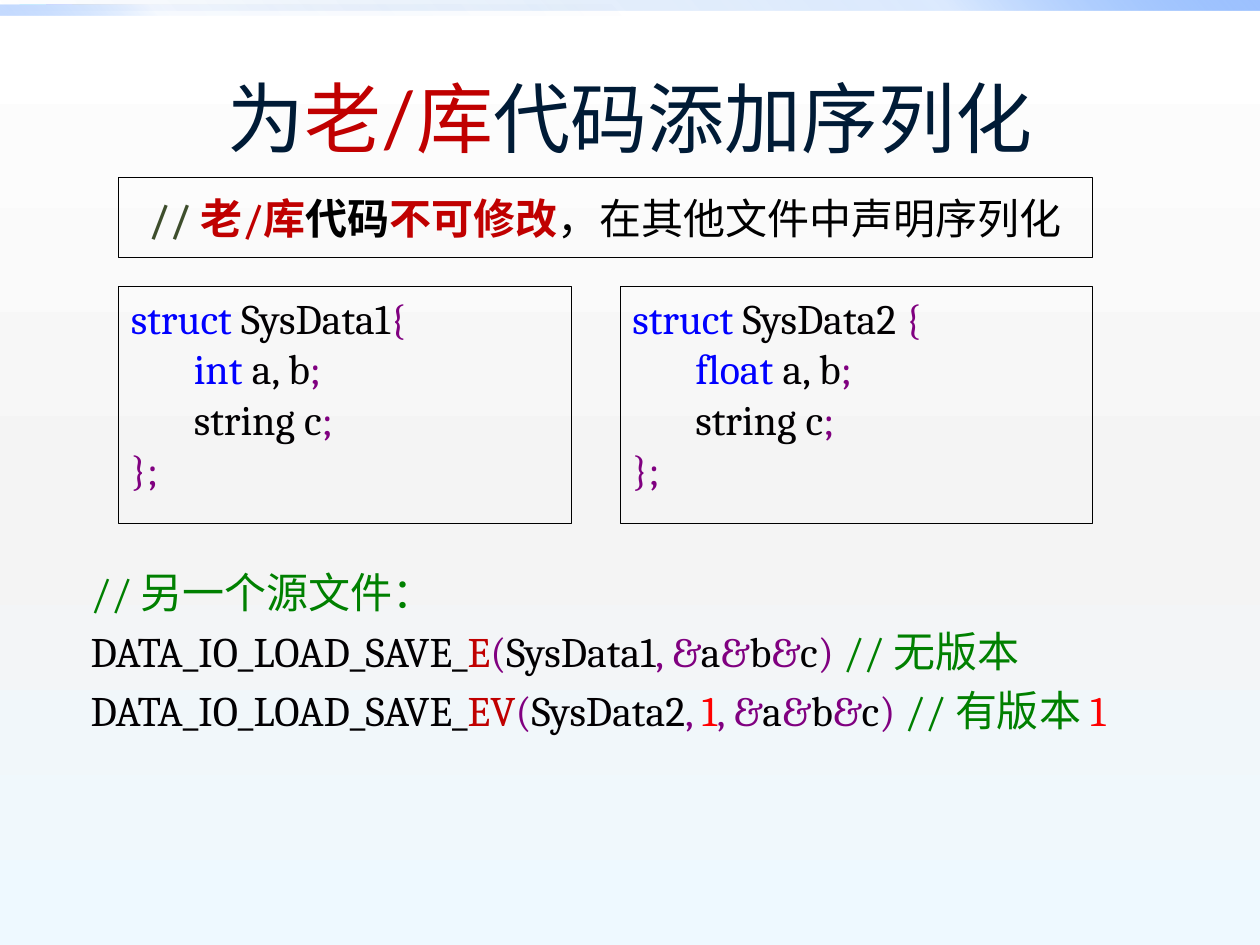
from lxml import etree
from pptx import Presentation
from pptx import util as u
from pptx.dml.color import RGBColor
from pptx.enum import shapes, text
from pptx.oxml.ns import nsdecls, qn

WIDTH, HEIGHT = 10, 7.5
INK, BLACK, NAVY = "020002", "000000", "001B36"
RED, BRIGHT, BLUE = "C00000", "FF0000", "0000FF"
PURPLE, GREEN, OLIVE = "800080", "008000", "3E4E2C"


def colour(value):
    return RGBColor.from_string(value)


def place(box):
    return [u.Inches(length) for length in box]


def fill_gradient(owner, stops, angle):
    """Fill with stops of (position %, colour, opacity %)."""
    owner_fill = owner.background.fill if hasattr(owner, "background") else owner.fill
    owner_fill.solid()
    marks = "".join(
        f'<a:gs pos="{at * 1000}"><a:srgbClr val="{value}">'
        f'<a:alpha val="{opacity * 1000}"/></a:srgbClr></a:gs>'
        for at, value, opacity in stops)
    gradient = etree.fromstring(
        f'<a:gradFill {nsdecls("a")} rotWithShape="1"><a:gsLst>{marks}</a:gsLst>'
        f'<a:lin ang="{angle * 60000}" scaled="0"/></a:gradFill>')
    solid = owner.element.find(".//" + qn("a:solidFill"))
    solid.getparent().replace(solid, gradient)


def write(frame, lines, size, font, align=text.PP_ALIGN.LEFT,
          anchor=text.MSO_ANCHOR.TOP, before=0, hang=0):
    """Write lines of spans, each span being (words, colour[, bold])."""
    frame.word_wrap = True
    frame.vertical_anchor = anchor
    for number, line in enumerate(lines):
        para = frame.add_paragraph() if number else frame.paragraphs[0]
        para.alignment = align
        para.space_before = u.Pt(before)
        if hang:
            properties = para._p.get_or_add_pPr()
            properties.set("marL", str(u.Inches(hang)))
            properties.set("indent", str(u.Inches(-hang)))
        for words, value, *bold in line:
            span = para.add_run()
            span.text = words
            span.font.size = u.Pt(size)
            span.font.name = font
            span.font.bold = bool(bold)
            span.font.color.rgb = colour(value)


def add_rectangle(page, box):
    shape = page.shapes.add_shape(shapes.MSO_SHAPE.RECTANGLE, *place(box))
    shape.shadow.inherit = False
    return shape


def add_backdrop(page):
    fill_gradient(page, [(0, "FFFFFF", 100), (55, "F4F4F4", 100),
                         (100, "EEF9FF", 100)], 90)
    bars = [((0, 0, WIDTH, 0.08), (0, 20, 100), 315),
            ((0, 0.04, WIDTH / 2, 0.08), (0, 5, 60), 135)]
    for box, opacities, angle in bars:
        bar = add_rectangle(page, box)
        bar.line.fill.background()
        fill_gradient(bar, zip((0, 75, 100), ("0058B7", "4F95FF", "9EC2FF"),
                               opacities), angle)


def add_framed(page, box, lines, **layout):
    frame = add_rectangle(page, box)
    frame.fill.background()
    frame.line.color.rgb = colour(BLACK)
    frame.line.width = u.Pt(0.25)
    write(frame.text_frame, lines, 24, "Cambria", **layout)


def add_struct(page, box, name, kind):
    add_framed(page, box, [
        [("struct ", BLUE), (name, INK), ("{", PURPLE)],
        [("\t", BLACK), (kind + " ", BLUE), ("a, b", INK), (";", PURPLE)],
        [("\t", BLACK), ("string c", INK), (";", PURPLE)],
        [("};", PURPLE)]])


def macro_call(suffix, struct, version, remark):
    """Spans of one macro line, with an optional version argument."""
    fields = [(", &", PURPLE), ("a", INK), ("&", PURPLE), ("b", INK),
              ("&", PURPLE), ("c", INK), (")", PURPLE)]
    return ([("DATA_IO_LOAD_SAVE_", INK), (suffix, RED), ("(", PURPLE), (struct, INK)]
            + ([(", ", PURPLE), (version, BRIGHT)] if version else [])
            + fields + [(remark, GREEN)]
            + ([(version, BRIGHT)] if version else []))


def add_title(page, box):
    title = page.shapes.add_textbox(*place(box))
    write(title.text_frame,
          [[("为", NAVY), ("老/库", RED), ("代码添加序列化", NAVY)]], 44, "Lato",
          align=text.PP_ALIGN.CENTER, anchor=text.MSO_ANCHOR.MIDDLE)


def add_usage(page, box):
    usage = page.shapes.add_textbox(*place(box))
    write(usage.text_frame, [
        [("// 另一个源文件：", GREEN)],
        macro_call("E", "SysData1", "", " // 无版本"),
        macro_call("EV", "SysData2", "1", " // 有版本 ")],
        24, "Cambria", before=4.8, hang=0.38)


deck = Presentation()
deck.slide_width, deck.slide_height = u.Inches(WIDTH), u.Inches(HEIGHT)
page = deck.slides.add_slide(deck.slide_layouts[6])

# Backdrop and title
add_backdrop(page)
add_title(page, (0.5, 0.3, WIDTH - 1, 1.25))

# Macro usage
add_usage(page, (0.62, 4.45, 8.91, 2.03))

# Remark above the two structs
left, width = 0.94, 7.73
add_framed(page, (left, 1.41, width, 0.63), [
    [("// ", OLIVE, True), ("老/库", RED, True), ("代码", BLACK, True),
     ("不可修改", RED, True), ("，在其他文件中声明序列化", BLACK)]],
    align=text.PP_ALIGN.CENTER, anchor=text.MSO_ANCHOR.MIDDLE)

# Structs, flush with both ends of the remark
top, height, first, second = 2.27, 1.88, 3.59, 3.75
add_struct(page, (left, top, first, height), "SysData1", "int")
add_struct(page, (left + width - second, top, second, height), "SysData2 ", "float")

deck.save("out.pptx")
